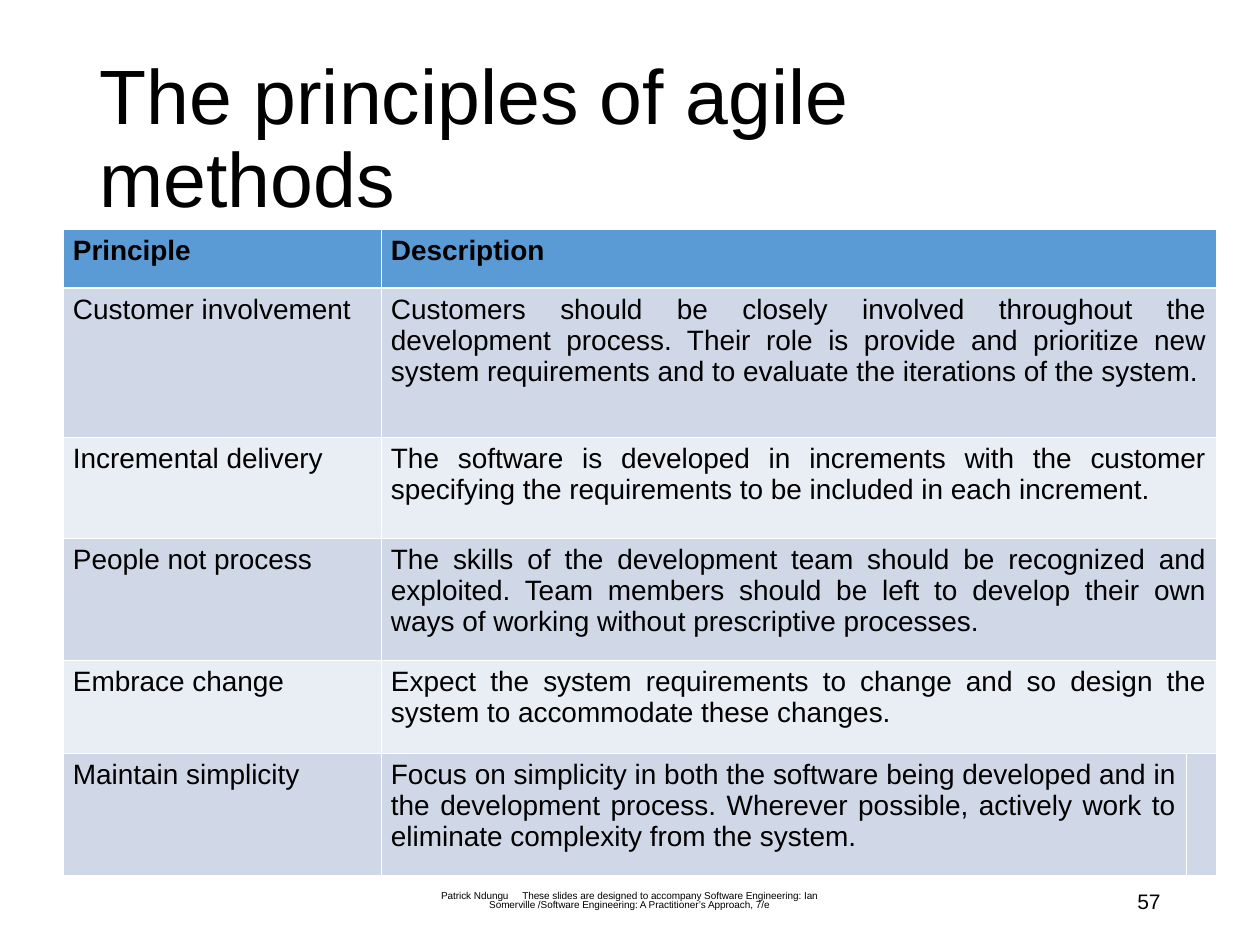
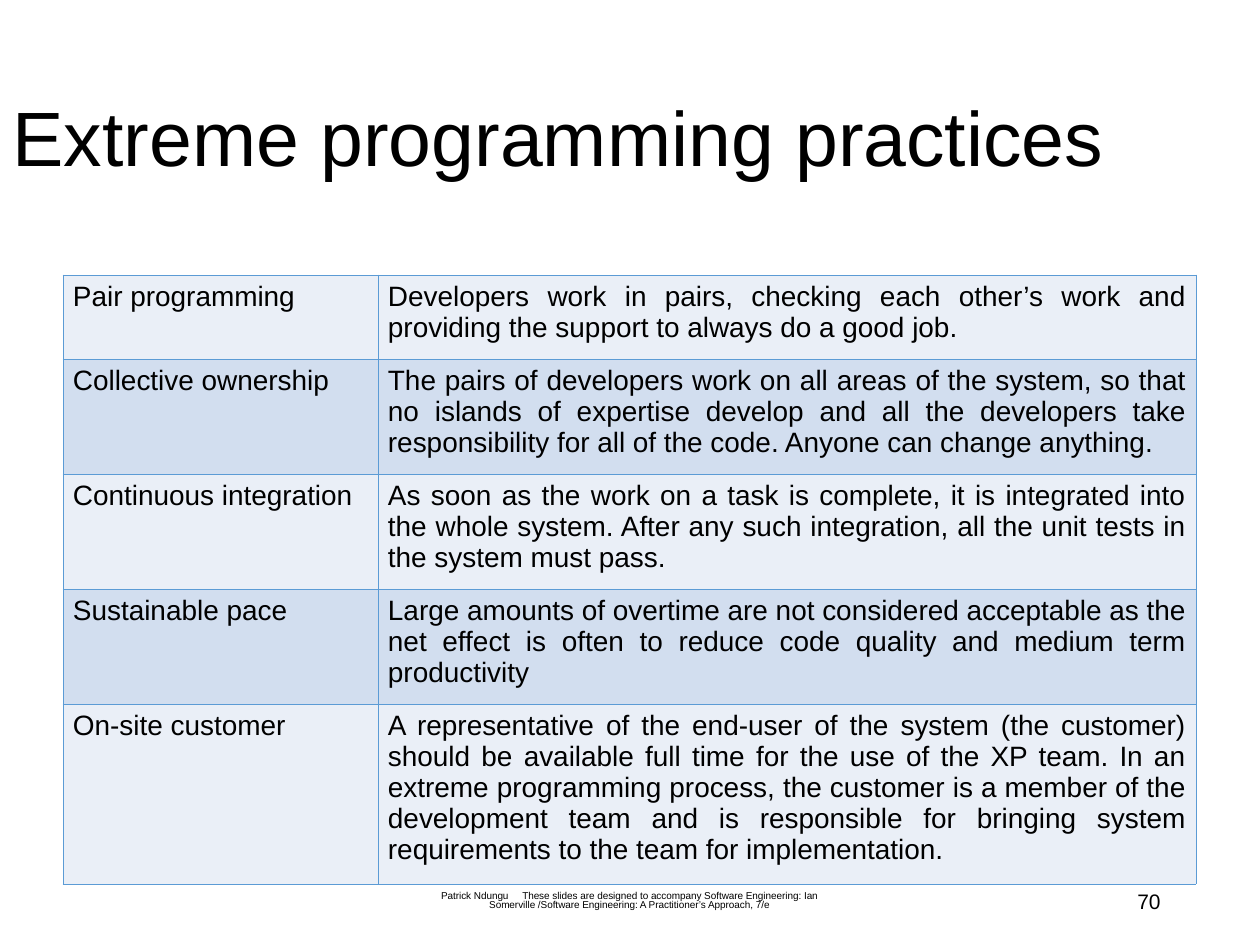
"""Builds two slides of principle and practice tables on agile methods."""
from lxml import etree
from pptx import Presentation
from pptx.dml.color import RGBColor
from pptx.enum.text import MSO_ANCHOR, MSO_AUTO_SIZE, PP_ALIGN
from pptx.oxml.ns import qn
from pptx.util import Emu, Pt

LEFT, CENTER, RIGHT, JUSTIFY = PP_ALIGN.LEFT, PP_ALIGN.CENTER, PP_ALIGN.RIGHT, PP_ALIGN.JUSTIFY
MIDDLE = MSO_ANCHOR.MIDDLE
NO_AUTOFIT = MSO_AUTO_SIZE.NONE
TITLE_ONLY = 5

FONT = "Arial"
THIN, THICK = 0.45, 1.47
COLORS = {
    "text": "000000",
    "white": "FFFFFF",
    "blue": "5B9BD5",
    "principle_dark": "D0D8E8",
    "principle_light": "E9EDF4",
    "practice_dark": "D2DEEF",
    "practice_light": "EAEFF7",
}
FOOTER = (
    "Patrick Ndungu",
    "These slides are designed to accompany Software Engineering: Ian Somerville "
    "/Software Engineering: A Practitioner’s Approach, 7/e",
)

PRINCIPLES = [
    ("Principle", "Description"),
    ("Customer involvement",
     "Customers should be closely involved throughout the development process. Their role is "
     "provide and prioritize new system requirements and to evaluate the iterations of the system."),
    ("Incremental delivery",
     "The software is developed in increments with the customer specifying the requirements "
     "to be included in each increment."),
    ("People not process",
     "The skills of the development team should be recognized and exploited. Team members "
     "should be left to develop their own ways of working without prescriptive processes."),
    ("Embrace change",
     "Expect the system requirements to change and so design the system to accommodate "
     "these changes."),
    ("Maintain simplicity",
     "Focus on simplicity in both the software being developed and in the development process. "
     "Wherever possible, actively work to eliminate complexity from the system.",
     ""),
]
PRACTICES = [
    ("Pair programming",
     "Developers work in pairs, checking each other’s work and providing the support to "
     "always do a good job."),
    ("Collective ownership",
     "The pairs of developers work on all areas of the system, so that no islands of expertise "
     "develop and all the developers take responsibility for all of the code. Anyone can "
     "change anything."),
    ("Continuous integration",
     "As soon as the work on a task is complete, it is integrated into the whole system. After "
     "any such integration, all the unit tests in the system must pass."),
    ("Sustainable pace",
     "Large amounts of overtime are not considered acceptable as the net effect is often to "
     "reduce code quality and medium term productivity"),
    ("On-site customer",
     "A representative of the end-user of the system (the customer) should be available full "
     "time for the use of the XP team. In an extreme programming process, the customer is a "
     "member of the development team and is responsible for bringing system requirements to "
     "the team for implementation."),
]


def px(length):
    """Turn px into EMU."""
    return Emu(round(length * 914400 / 126))


class SlideBuilder:
    """Holds the deck's style and the current page."""

    def __init__(self):
        """Start an empty deck."""
        self.deck = Presentation()
        self.deck.slide_width, self.deck.slide_height = px(1260), px(945)
        self.page = None

    def start_page(self, title, left, width, number):
        """Add a page with its title, footer and number."""
        self.page = self.deck.slides.add_slide(self.deck.slide_layouts[TITLE_ONLY])
        self.title(title, left, width)
        self.footer()
        self.page_number(number)

    def style(self, para, size, align, spacing=1.0, bold=False):
        """Format a paragraph and its runs."""
        para.alignment = align
        para.line_spacing = spacing
        for span in para.runs:
            span.font.name = FONT
            span.font.size = Pt(size)
            span.font.bold = bold
            span.font.color.rgb = RGBColor.from_string(COLORS["text"])

    def title(self, text, left, width):
        """Place and format the title placeholder."""
        box = self.page.shapes.title
        box.left, box.top, box.width, box.height = px(left), px(50), px(width), px(183)
        frame = box.text_frame
        frame.text = text
        frame.auto_size = NO_AUTOFIT
        frame.vertical_anchor = MIDDLE
        self.style(frame.paragraphs[0], 44, LEFT, 0.9)

    def bottom_box(self, left, width):
        """Add a text box on the footer line and return its paragraph."""
        frame = self.page.shapes.add_textbox(px(left), px(876), px(width), px(50)).text_frame
        frame.word_wrap = True
        frame.vertical_anchor = MIDDLE
        return frame.paragraphs[0]

    def footer(self):
        """Add the credit line, with a widened space after the author."""
        para = self.bottom_box(417, 425)
        author, credit = FOOTER
        for text in (author, " ", credit):
            para.add_run().text = text
        para.runs[1]._r.get_or_add_rPr().set("spc", "630")
        self.style(para, 5.7, CENTER, 0.8)

    def page_number(self, number):
        """Add the page number."""
        para = self.bottom_box(890, 283)
        para.text = str(number)
        self.style(para, 12, RIGHT)

    def border(self, cell, side, color, width):
        """Draw one border of a cell."""
        line = etree.SubElement(cell._tc.get_or_add_tcPr(), qn(f"a:ln{side}"), w=str(Pt(width)))
        fill = etree.SubElement(line, qn("a:solidFill"))
        etree.SubElement(fill, qn("a:srgbClr"), val=COLORS[color])

    def table(self, top, widths, heights, rows, bands, line, header=None):
        """Add a banded table, where a short row spans the remaining columns."""
        frame = self.page.shapes.add_table(
            len(rows), len(widths), px(63), px(top), px(sum(widths)), px(sum(heights)))
        grid = frame.table
        grid.first_row = header is not None
        grid.horz_banding = False
        for column, width in zip(grid.columns, widths):
            column.width = px(width)
        for index, (texts, height) in enumerate(zip(rows, heights)):
            grid.rows[index].height = px(height)
            is_header = header is not None and index == 0
            fill = header if is_header else bands[index % 2]
            for position in range(len(widths)):
                cell = grid.cell(index, position)
                for side in "LRTB":
                    thick = header and (index, side) in ((0, "B"), (1, "T"))
                    self.border(cell, side, line, THICK if thick else THIN)
                cell.fill.solid()
                cell.fill.fore_color.rgb = RGBColor.from_string(COLORS[fill])
            for position, text in enumerate(texts):
                if text:
                    self.cell_text(grid.cell(index, position), text, is_header)
            if len(texts) < len(widths):
                grid.cell(index, len(texts) - 1).merge(grid.cell(index, len(widths) - 1))

    def cell_text(self, cell, text, bold):
        """Write justified text into a cell."""
        cell.margin_left = cell.margin_right = px(10)
        cell.margin_top = cell.margin_bottom = px(6)
        cell.text_frame.text = text
        self.style(cell.text_frame.paragraphs[0], 16, JUSTIFY, bold=bold)


def main():
    """Build both pages and save the deck."""
    builder = SlideBuilder()
    builder.start_page("The principles of agile methods", 87, 1087, 57)
    builder.table(229, [318, 805, 18], [59, 149, 101, 122, 93, 122], PRINCIPLES,
                  ("principle_light", "principle_dark"), "white", header="blue")
    builder.start_page("Extreme programming practices", 0, 1235, 70)
    builder.table(275, [315, 818], [84, 115, 115, 115, 180], PRACTICES,
                  ("practice_light", "practice_dark"), "blue")
    builder.deck.save("out.pptx")


if __name__ == "__main__":
    main()
